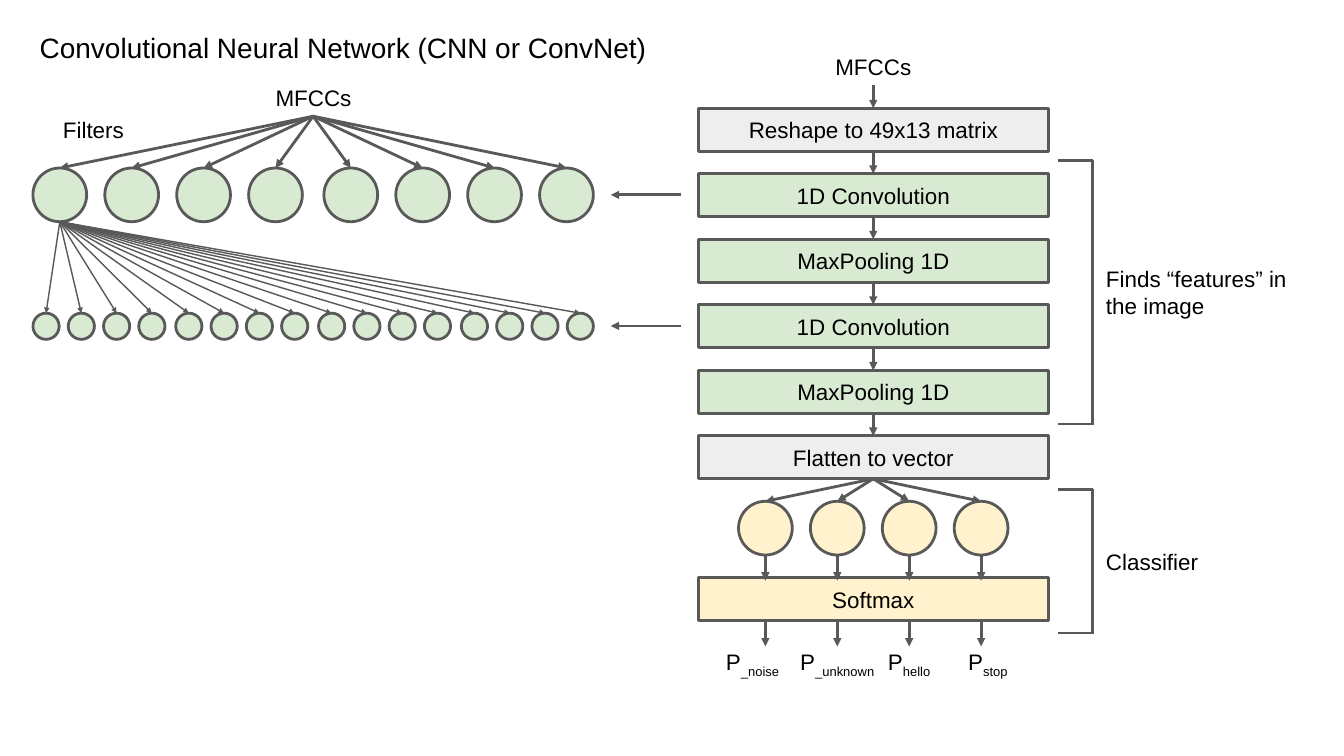
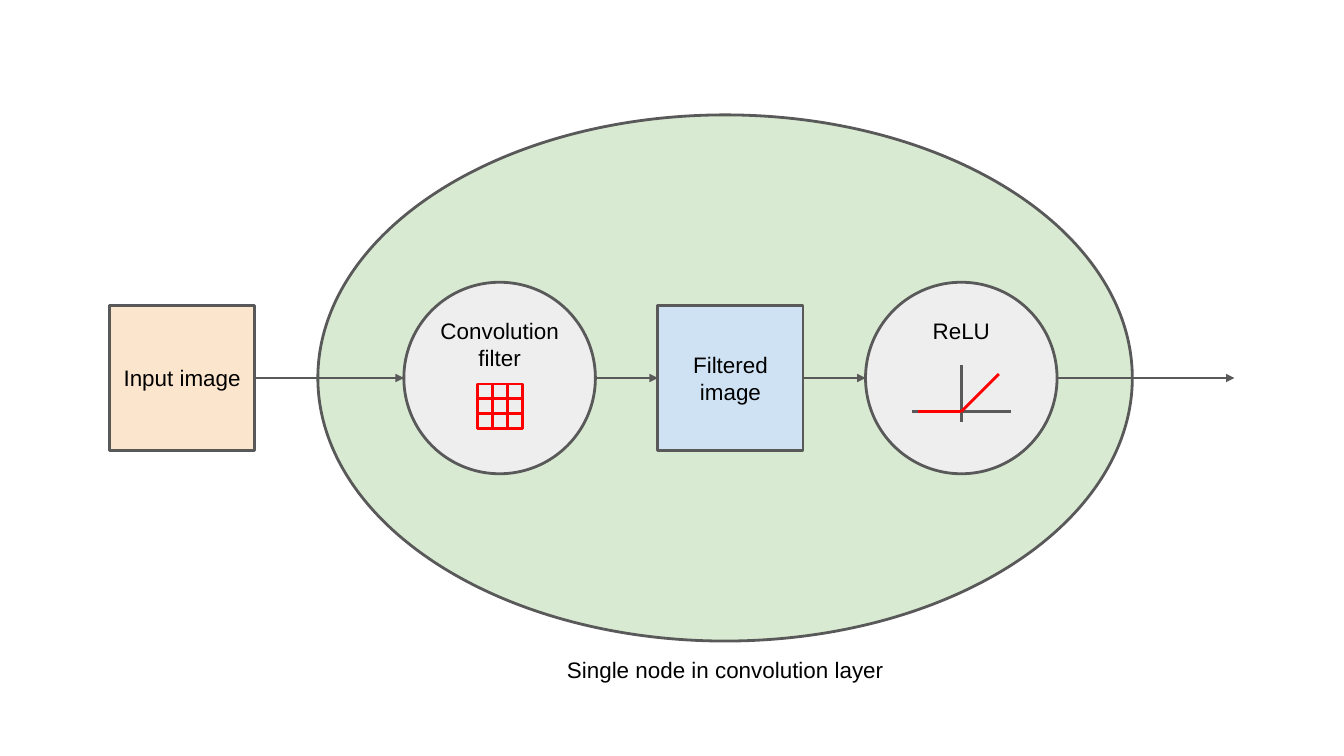
from lxml import etree
from pptx import Presentation
from pptx.dml.color import RGBColor
from pptx.enum.shapes import MSO_CONNECTOR, MSO_SHAPE
from pptx.enum.text import MSO_ANCHOR, MSO_AUTO_SIZE, PP_ALIGN
from pptx.oxml.ns import qn
from pptx.util import Inches, Pt

FONT = "Arial"
BLACK, GRAY, LIGHT, RED = "000000", "595959", "EEEEEE", "FF0000"
GREEN, YELLOW, ORANGE, BLUE = "D9EAD3", "FFF2CC", "FCE5CD", "CFE2F3"
TOP, LEFT, BOTTOM, RIGHT = range(4)
RECT, OVAL = MSO_SHAPE.RECTANGLE, MSO_SHAPE.OVAL


def rgb(code):
    return RGBColor.from_string(code)


def write(sp, text, align=PP_ALIGN.CENTER, anchor=MSO_ANCHOR.MIDDLE, size=24, sub=""):
    """Fill a shape with one paragraph, optionally ending in a subscript."""
    tf = sp.text_frame
    tf.word_wrap = True
    tf.auto_size = MSO_AUTO_SIZE.NONE
    tf.vertical_anchor = anchor
    tf.margin_left = tf.margin_right = tf.margin_top = tf.margin_bottom = Inches(0.1)
    p = tf.paragraphs[0]
    p.text = text
    p.alignment = align
    if sub:
        r = p.add_run()
        r.text = sub
        r._r.get_or_add_rPr().set("baseline", "-25000")
    for r in p.runs:
        r.font.name, r.font.size = FONT, Pt(size)
        r.font.color.rgb = rgb(BLACK)


def add_label(s, x, y, w, h, text, **style):
    sp = s.shapes.add_textbox(*map(Inches, (x, y, w, h)))
    write(sp, text, **style)


def add_block(s, kind, x, y, w, h, fill, text="", line=GRAY, **style):
    sp = s.shapes.add_shape(kind, *map(Inches, (x, y, w, h)))
    sp.shadow.inherit = False
    sp.fill.solid()
    sp.fill.fore_color.rgb = rgb(fill)
    sp.line.color.rgb = rgb(line)
    sp.line.width = Pt(3)
    if text:
        write(sp, text, **style)
    return sp


def add_line(s, start, end, color=GRAY, width=3, arrow=False):
    """Each end is either (x, y) in inches or (shape, connection site)."""
    joined = [hasattr(pt[0], "shape_id") for pt in (start, end)]
    (x1, y1), (x2, y2) = [(0, 0) if j else pt for j, pt in zip(joined, (start, end))]
    cn = s.shapes.add_connector(MSO_CONNECTOR.STRAIGHT, *map(Inches, (x1, y1, x2, y2)))
    if joined[0]:
        cn.begin_connect(*start)
    if joined[1]:
        cn.end_connect(*end)
    cn.line.color.rgb = rgb(color)
    cn.line.width = Pt(width)
    if arrow:
        etree.SubElement(cn.line._get_or_add_ln(), qn("a:tailEnd")).set("type", "triangle")
    etree.SubElement(cn._element.spPr, qn("a:effectLst"))


def add_arrow(s, start, end, width=3):
    add_line(s, start, end, width=width, arrow=True)


def set_title(s, x, y, w, h, text):
    sp = s.shapes.title
    sp.left, sp.top, sp.width, sp.height = map(Inches, (x, y, w, h))
    write(sp, text, PP_ALIGN.LEFT, MSO_ANCHOR.TOP, size=30)


def filter_row(s, x, y, size, groups, step, group_step, source, width):
    """Row of filters in groups of four, each fed by an arrow from source."""
    for i in range(4 * groups):
        left = x + i // 4 * group_step + i % 4 * step
        sp = add_block(s, OVAL, left, y, size, size, GREEN)
        add_arrow(s, source, (sp, TOP), width)


def filter_tree(s, x, y):
    add_label(s, x + 1.57, y, 5.21, 0.53, "MFCCs")
    add_label(s, x - 0.43, y + 0.47, 2.66, 0.53, "Filters")
    filter_row(s, x, y + 1.31, 0.8, 2, 1.07, 4.33, (x + 4.17, y + 0.54), 3)
    filter_row(s, x, y + 3.47, 0.39, 4, 0.525, 2.125, (x + 0.4, y + 2.11), 1.5)
    for dy in (1.71, 3.66):
        add_arrow(s, (x + 9.64, y + dy), (x + 8.6, y + dy))


def layer_stack(s, x, y, w):
    """Column of layers, from the input down to the class probabilities."""
    h, pitch = 0.64, 0.975
    layers = [("Reshape to 49x13 matrix", LIGHT), ("1D Convolution", GREEN),
              ("MaxPooling 1D", GREEN), ("1D Convolution", GREEN),
              ("MaxPooling 1D", GREEN), ("Flatten to vector", LIGHT)]
    add_label(s, x, y - 0.88, w, 0.53, "MFCCs")
    above = None
    for i, (text, fill) in enumerate(layers):
        sp = add_block(s, RECT, x, y + i * pitch, w, h, fill, text)
        start = (above, BOTTOM) if above else (x + w / 2, y - 0.34)
        add_arrow(s, start, (sp, TOP))
        above = sp

    node, step, node_y, softmax_y = 0.8, 1.07, y + 5.85, y + 6.99
    add_block(s, RECT, x, softmax_y, w, h, YELLOW, "Softmax")
    outputs = [("_noise", 0.81), ("_unknown", 2.07), ("hello", 3.14), ("stop", 4.31)]
    for i, (name, label_mid) in enumerate(outputs):
        mid = x + w / 2 + (i - 1.5) * step
        sp = add_block(s, OVAL, mid - node / 2, node_y, node, node, YELLOW)
        add_arrow(s, (above, BOTTOM), (sp, TOP))
        for start_y in (node_y + node, softmax_y + h):
            add_arrow(s, (mid, start_y), (mid, start_y + 0.38))
        add_label(s, x + label_mid - 0.9, y + 7.94, 1.8, 0.97, "P",
                  anchor=MSO_ANCHOR.TOP, sub=name)


def bracket(s, x, y, h, text):
    spine = x + 0.51
    for edge in (y, y + h):
        add_line(s, (x, edge), (spine, edge))
    add_line(s, (spine, y - 0.01), (spine, y + h + 0.01))
    add_label(s, spine + 0.1, y + h / 2 - 0.64, 2.91, 1.28, text, align=PP_ALIGN.LEFT)


def kernel_grid(s, x, y, cell):
    for i in range(9):
        add_block(s, RECT, x + i % 3 * cell, y + i // 3 * cell, cell, cell, LIGHT, line=RED)


def relu_plot(s, x, y):
    """Axes and curve, with the origin at x, y."""
    add_line(s, (x - 0.74, y), (x + 0.74, y))
    add_line(s, (x, y + 0.15), (x, y - 0.7))
    add_line(s, (x - 0.64, y), (x, y), RED)
    add_line(s, (x + 0.56, y - 0.56), (x, y), RED)


def node_diagram(s, x, y, w, h):
    """Ellipse of the node with its inner steps, its input and its output."""
    add_block(s, OVAL, x, y, w, h, GREEN)
    mid, side, d = y + h / 2, 2.16, 2.85

    def image(left, fill, text):
        return add_block(s, RECT, left, mid - side / 2, side, side, fill, text)

    def stage(left, text):
        add_block(s, OVAL, left, mid - d / 2, d, d, LIGHT, text, anchor=MSO_ANCHOR.TOP)

    conv, relu = x + 1.28, x + 8.15
    source = image(x - 3.1, ORANGE, "Input image")
    filtered = image(x + 5.06, BLUE, "Filtered image")
    stage(conv, "Convolution filter")
    stage(relu, "ReLU")
    kernel_grid(s, conv + 1.1, mid + 0.09, 0.22)
    relu_plot(s, relu + d / 2, mid + 0.5)
    add_arrow(s, (source, RIGHT), (conv, mid))
    add_arrow(s, (conv + d, mid), (filtered, LEFT))
    add_arrow(s, (filtered, RIGHT), (relu, mid))
    add_arrow(s, (relu + d, mid), (x + 13.64, mid))
    add_label(s, x + w / 2 - 3.16, y + h, 6.32, 0.85, "Single node in convolution layer")


def network_slide(prs):
    s = prs.slides.add_slide(prs.slide_layouts[5])
    set_title(s, 0.49, 0.36, 9.51, 0.8, "Convolutional Neural Network (CNN or ConvNet)")
    filter_tree(s, 0.49, 1.19)
    layer_stack(s, 10.39, 1.61, 5.21)
    bracket(s, 15.75, 2.39, 3.92, "Finds “features” in the image")
    bracket(s, 15.75, 7.29, 2.13, "Classifier")


def node_slide(prs):
    s = prs.slides.add_slide(prs.slide_layouts[6])
    node_diagram(s, 4.73, 1.71, 12.12, 7.83)


def main():
    prs = Presentation()
    prs.slide_width, prs.slide_height = Inches(20), Inches(11.25)
    network_slide(prs)
    node_slide(prs)
    prs.save("out.pptx")


if __name__ == "__main__":
    main()
